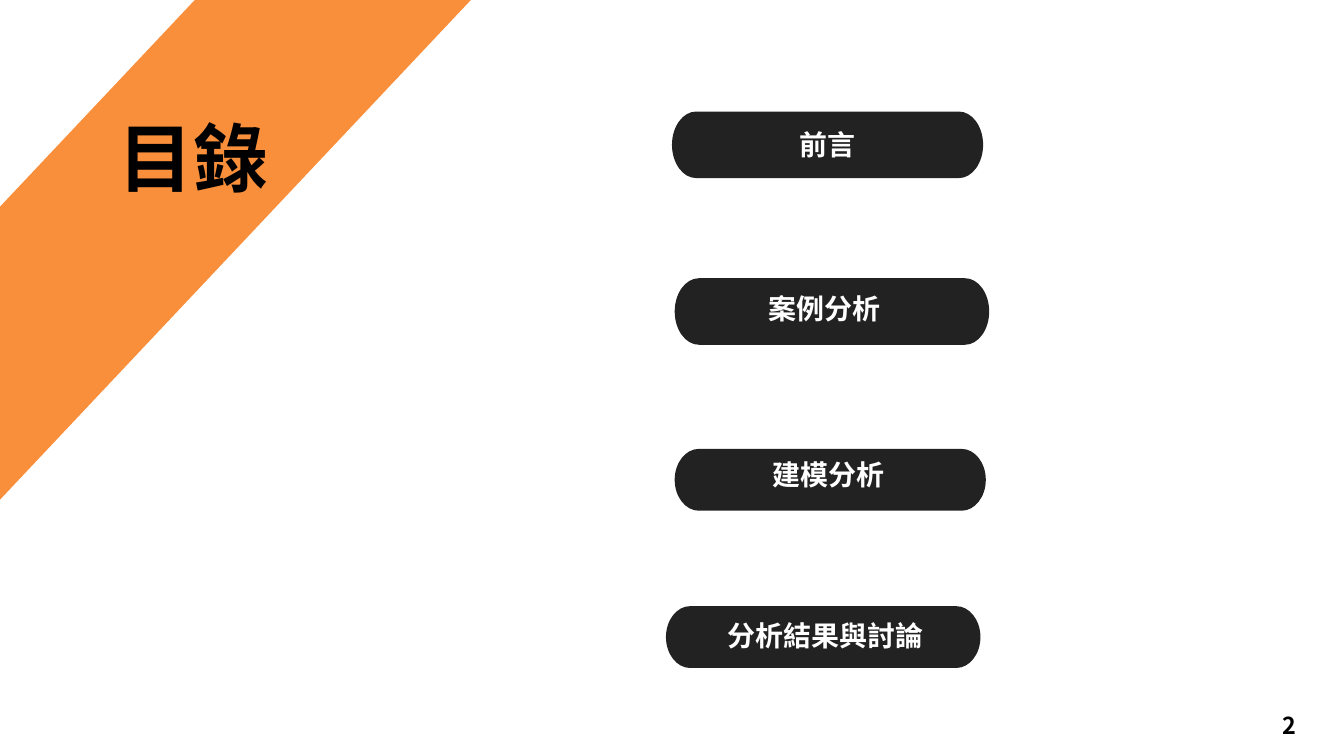
from dataclasses import dataclass
from typing import NamedTuple

from pptx import Presentation, util as u
from pptx.dml.color import RGBColor
from pptx.enum import shapes, text
from pptx.oxml.ns import qn

PX = 9144  # EMU in one px, 100 px to the inch


@dataclass(frozen=True)
class Theme:
    font: str = "Noto Sans CJK SC"
    ink: str = "000000"
    paper: str = "FFFFFF"
    dark: str = "222222"
    band: str = "F98E3B"
    title: int = 80
    label: int = 30
    page: int = 25


class Box(NamedTuple):
    x: int
    y: int
    w: int
    h: int

    def emu(self) -> list[int]:
        return [side * PX for side in self]


class Topic(NamedTuple):
    words: str
    pill: Box
    label: Box


THEME = Theme()
TOPICS = [
    Topic("前言", Box(1000, 166, 463, 99), Box(1000, 163, 463, 129)),
    Topic("案例分析", Box(1004, 414, 468, 99), Box(993, 407, 468, 129)),
    Topic("建模分析", Box(1004, 668, 463, 92), Box(1002, 659, 463, 120)),
    Topic("分析結果與討論", Box(991, 902, 468, 92), Box(994, 899, 468, 120)),
]
CURVE = 36  # width of a pill's rounded end
KAPPA = 0.55  # handle length of a quarter ellipse


def paint(shape, color: str) -> None:
    shape.fill.solid()
    shape.fill.fore_color.rgb = RGBColor.from_string(color)
    shape.line.fill.background()
    shape.shadow.inherit = False


def write(shape, words: str, size: int, color: str, align):
    frame = shape.text_frame
    frame.text = words
    frame.word_wrap = True
    para = frame.paragraphs[0]
    para.alignment = align
    font = para.runs[0].font
    font.size, font.bold, font.name = u.Pt(size), True, THEME.font
    font.color.rgb = RGBColor.from_string(color)
    props = para.runs[0]._r.get_or_add_rPr()
    east = props.makeelement(qn("a:ea"), {"typeface": THEME.font})
    props.find(qn("a:latin")).addnext(east)
    return frame


def draw_pill(group, box: Box) -> None:
    """Two straight sides, each followed by two quarter-ellipse curves."""
    right, foot = box.x + box.w, box.y + box.h
    mid, half = box.y + box.h / 2, box.h / 2
    points = []
    for end, out, top, turn in ((right, 1, box.y, 1), (box.x, -1, foot, -1)):
        hub = end - out * CURVE
        bend, rise = out * CURVE * KAPPA, turn * half * KAPPA
        low = top + turn * box.h
        points += [
            (hub, top),
            (hub + bend, top), (end, mid - rise), (end, mid),
            (end, mid + rise), (hub + bend, low), (hub, low),
        ]
    pen = group.shapes.build_freeform(
        (box.x + CURVE) * PX, box.y * PX, scale=1.0)
    pen.add_line_segments([(x * PX, y * PX) for x, y in points], close=True)
    pill = pen.convert_to_shape()

    # Turn each three points after a side's end into one curve
    lines = list(pill.element.iter(qn("a:lnTo")))
    for i in (1, 4, 8, 11):
        curve = lines[i].makeelement(qn("a:cubicBezTo"), {})
        lines[i].addprevious(curve)
        for line in lines[i:i + 3]:
            curve.append(line[0])
            line.getparent().remove(line)
    paint(pill, THEME.dark)


def draw_topic(slide, topic: Topic) -> None:
    group = slide.shapes.add_group_shape()
    draw_pill(group, topic.pill)
    label = group.shapes.add_textbox(*topic.label.emu())
    frame = write(label, topic.words, THEME.label, THEME.paper, text.PP_ALIGN.CENTER)
    frame.vertical_anchor = text.MSO_ANCHOR.MIDDLE
    frame.margin_left = frame.margin_right = 6 * PX
    frame.margin_top = frame.margin_bottom = 6 * PX
    frame.paragraphs[0].line_spacing = u.Pt(17.1)


def main() -> None:
    deck = Presentation()
    deck.slide_width, deck.slide_height = 2000 * PX, 1125 * PX
    slide = deck.slides.add_slide(deck.slide_layouts[5])

    # Title
    title = slide.shapes.title
    title.left, title.top, title.width, title.height = Box(167, 162, 383, 145).emu()
    frame = write(title, "目錄", THEME.title, THEME.ink, text.PP_ALIGN.LEFT)
    frame.vertical_anchor = text.MSO_ANCHOR.TOP
    frame.auto_size = text.MSO_AUTO_SIZE.SHAPE_TO_FIT_TEXT

    # Topics
    for topic in TOPICS:
        draw_topic(slide, topic)

    # Diagonal band, behind the title
    band = slide.shapes.add_shape(
        shapes.MSO_SHAPE.RECTANGLE, *Box(98, -426, 299, 1378).emu())
    band.rotation = 43.3
    paint(band, THEME.band)
    band.element.addnext(title.element)

    # Page number
    page = slide.shapes.add_textbox(*Box(1898, 1053, 82, 52).emu())
    frame = write(page, "2", THEME.page, THEME.ink, text.PP_ALIGN.LEFT)
    frame.auto_size = text.MSO_AUTO_SIZE.SHAPE_TO_FIT_TEXT

    deck.save("out.pptx")


if __name__ == "__main__":
    main()
